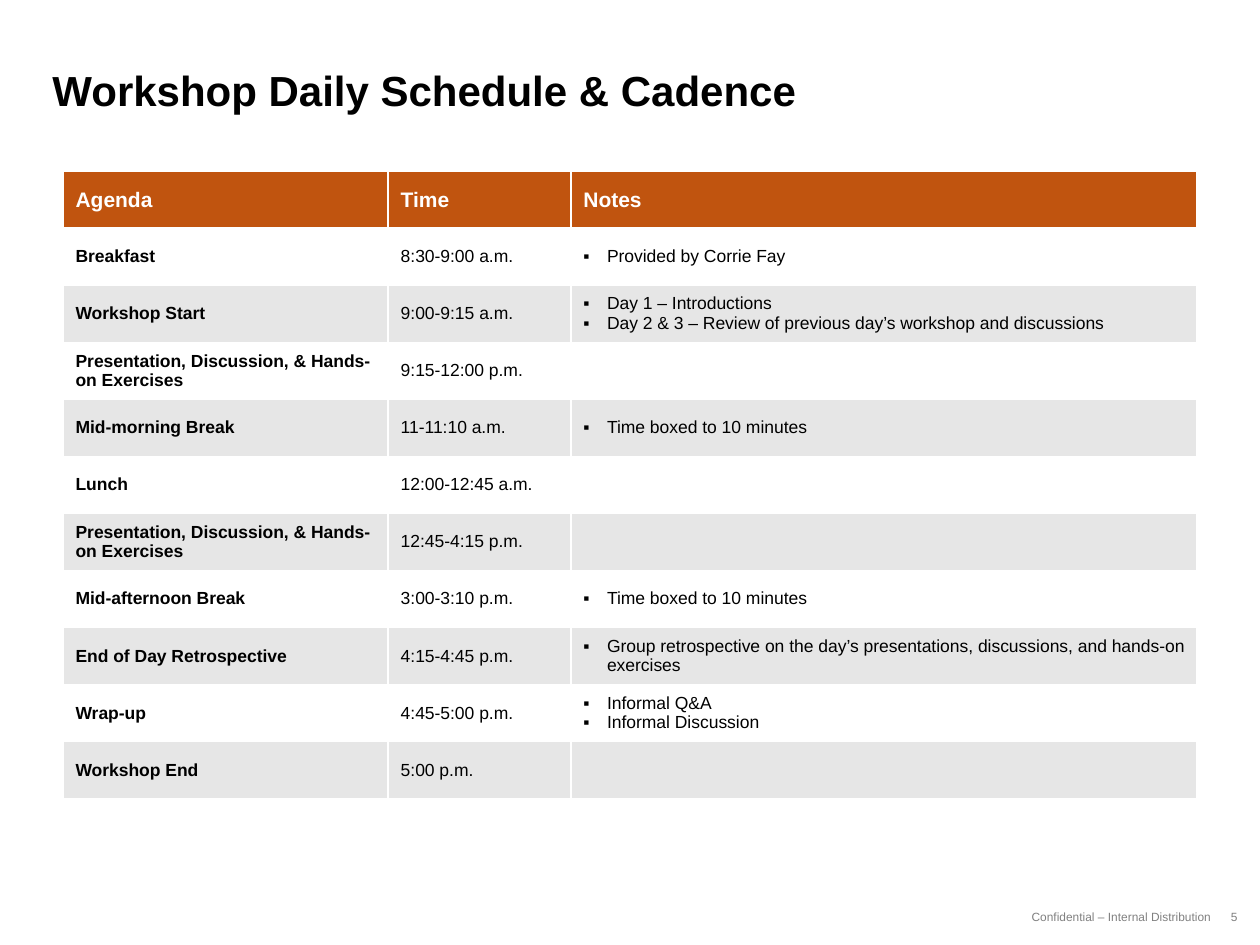
import pptx
import pptx.dml.color
import pptx.enum.text
import pptx.oxml.ns
import pptx.util
from lxml import etree

Pt = pptx.util.Pt
RGBColor = pptx.dml.color.RGBColor
Align = pptx.enum.text.PP_ALIGN
Anchor = pptx.enum.text.MSO_ANCHOR

TITLE = "Workshop Daily Schedule & Cadence"
FOOTER = "Confidential – Internal Distribution"
PAGE_NUMBER = "5"
HEADINGS = ["Agenda", "Time", "Notes"]
EXERCISES = "Presentation, Discussion, & Hands-on Exercises"
SCHEDULE = [
    ("Breakfast", "8:30-9:00 a.m.", ["Provided by Corrie Fay"]),
    ("Workshop Start", "9:00-9:15 a.m.", [
        "Day 1 – Introductions",
        "Day 2 & 3 – Review of previous day’s workshop and discussions"]),
    (EXERCISES, "9:15-12:00 p.m.", []),
    ("Mid-morning Break", "11-11:10 a.m.", ["Time boxed to 10 minutes"]),
    ("Lunch", "12:00-12:45 a.m.", []),
    (EXERCISES, "12:45-4:15 p.m.", []),
    ("Mid-afternoon Break", "3:00-3:10 p.m.", ["Time boxed to 10 minutes"]),
    ("End of Day Retrospective", "4:15-4:45 p.m.", [
        "Group retrospective on the day’s presentations, discussions, "
        "and hands-on exercises"]),
    ("Wrap-up", "4:45-5:00 p.m.", ["Informal Q&A", "Informal Discussion"]),
    ("Workshop End", "5:00 p.m.", []),
]

FONT = "Arial"
BLACK = RGBColor(0x00, 0x00, 0x00)
WHITE = RGBColor(0xFF, 0xFF, 0xFF)
ORANGE = RGBColor(0xC0, 0x54, 0x0F)
BAND = RGBColor(0xE6, 0xE6, 0xE6)
GRAY = RGBColor(0x80, 0x80, 0x80)

COLUMN_WIDTHS = [185.8, 104.4, 357.8]
ROW_HEIGHT = 32.6
BULLET_INDENT = 13.5


def add_bullet(para):
    properties = para._p.get_or_add_pPr()
    properties.set("marL", str(Pt(BULLET_INDENT)))
    properties.set("indent", str(-Pt(BULLET_INDENT)))
    qn = pptx.oxml.ns.qn
    etree.SubElement(properties, qn("a:buFont")).set("typeface", FONT)
    etree.SubElement(properties, qn("a:buChar")).set("char", "▪")


def write(frame, lines, size=10, color=BLACK, bold=False, align=Align.LEFT,
          spacing=None, bullets=False):
    """Fill a text frame with one formatted paragraph for each line."""
    for index, line in enumerate(lines):
        para = frame.add_paragraph() if index else frame.paragraphs[0]
        para.alignment = align
        if spacing:
            para.line_spacing = spacing
        if bullets:
            add_bullet(para)
        span = para.add_run()
        span.text = line
        span.font.name = FONT
        span.font.size = Pt(size)
        span.font.bold = bold
        span.font.color.rgb = color


def add_title(slide):
    title = slide.shapes.title
    title.left, title.top = Pt(30), Pt(36.7)
    title.width, title.height = Pt(690), Pt(39.6)
    frame = title.text_frame
    frame.auto_size = pptx.enum.text.MSO_AUTO_SIZE.NONE
    frame.vertical_anchor = Anchor.TOP
    frame.margin_left = 0
    write(frame, [TITLE], size=24, bold=True, spacing=0.9)


def add_schedule(slide):
    row_count = len(SCHEDULE) + 1
    table = slide.shapes.add_table(
        row_count, len(HEADINGS), Pt(36), Pt(97.8),
        Pt(sum(COLUMN_WIDTHS)), Pt(ROW_HEIGHT * row_count)).table
    for column, width in zip(table.columns, COLUMN_WIDTHS):
        column.width = Pt(width)
    for row in table.rows:
        row.height = Pt(ROW_HEIGHT)

    for column, heading in enumerate(HEADINGS):
        write(table.cell(0, column).text_frame, [heading],
              size=12, color=WHITE, bold=True)
    for row, (agenda, time, notes) in enumerate(SCHEDULE, start=1):
        write(table.cell(row, 0).text_frame, [agenda], bold=True)
        write(table.cell(row, 1).text_frame, [time])
        write(table.cell(row, 2).text_frame, notes, bullets=True)

    for row in range(row_count):
        fill = ORANGE if row == 0 else WHITE if row % 2 else BAND
        for column in range(len(HEADINGS)):
            cell = table.cell(row, column)
            cell.vertical_anchor = Anchor.MIDDLE
            cell.fill.solid()
            cell.fill.fore_color.rgb = fill


def add_footer(slide):
    for text, left, width in [(FOOTER, 552, 147.2), (PAGE_NUMBER, 694, 20.2)]:
        box = slide.shapes.add_textbox(Pt(left), Pt(516.2), Pt(width), Pt(15))
        box.text_frame.word_wrap = True
        write(box.text_frame, [text], size=6.8, color=GRAY, align=Align.RIGHT)


def main():
    deck = pptx.Presentation()
    deck.slide_width, deck.slide_height = Pt(720), Pt(540)
    slide = deck.slides.add_slide(deck.slide_layouts.get_by_name("Title Only"))
    add_title(slide)
    add_schedule(slide)
    add_footer(slide)
    deck.save("out.pptx")


if __name__ == "__main__":
    main()
